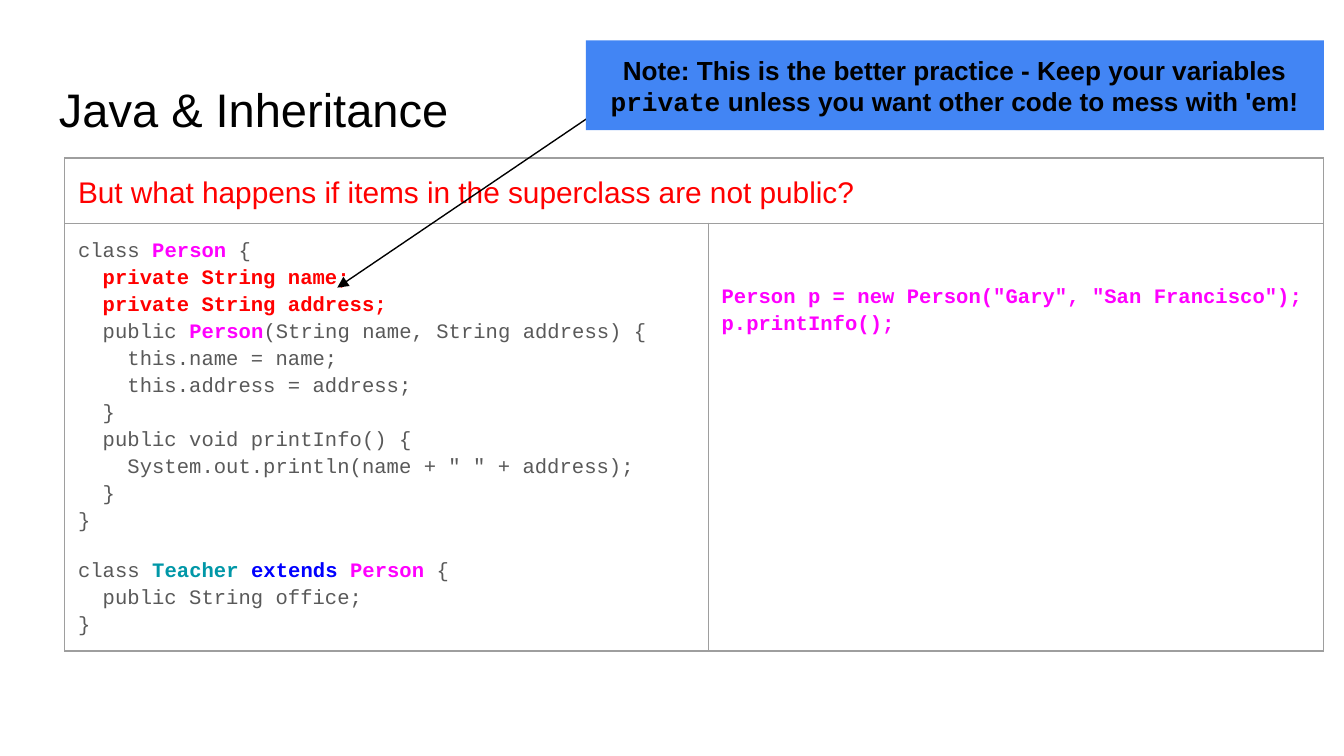
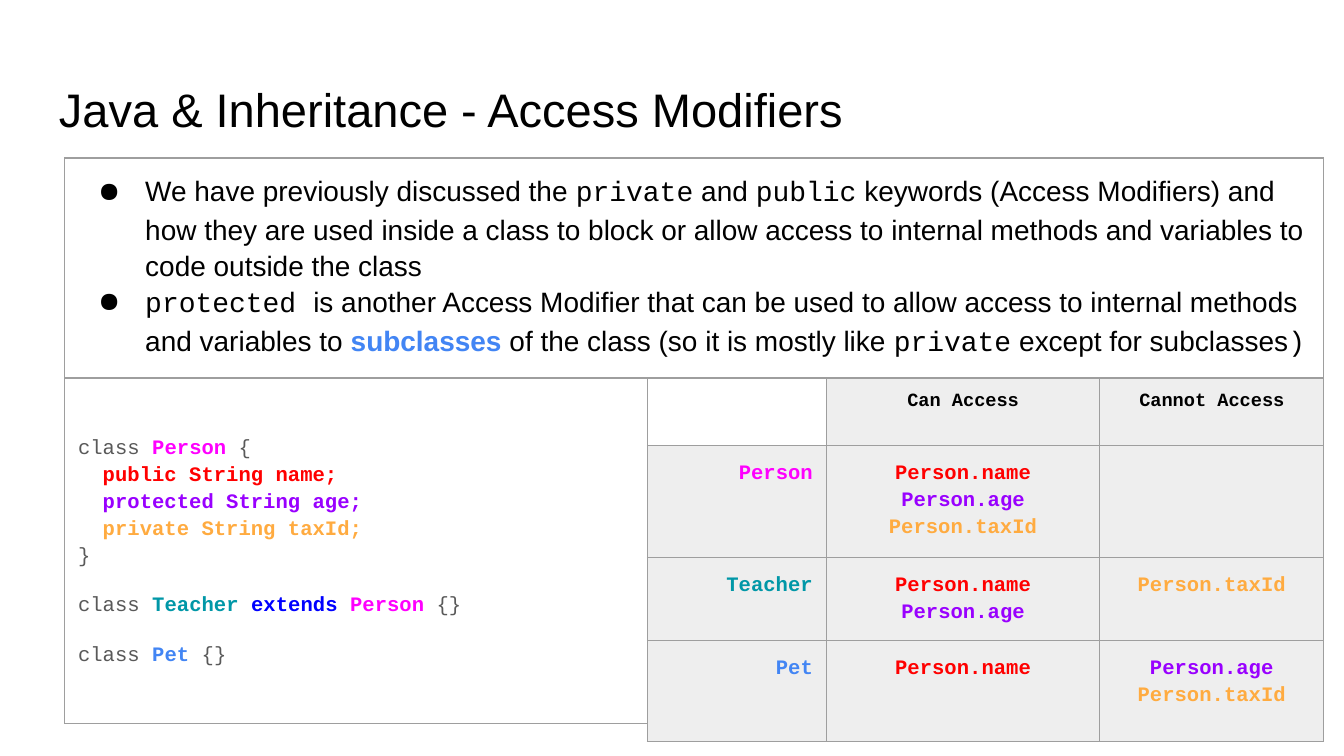
from collections import namedtuple
from copy import deepcopy

from lxml import etree
from pptx import Presentation
from pptx.dml.color import RGBColor
from pptx.enum.shapes import MSO_CONNECTOR, MSO_SHAPE
from pptx.enum.text import MSO_ANCHOR, PP_ALIGN
from pptx.oxml.ns import qn
from pptx.util import Pt

LEFT, CENTER, RIGHT = PP_ALIGN.LEFT, PP_ALIGN.CENTER, PP_ALIGN.RIGHT
TOP, MIDDLE = MSO_ANCHOR.TOP, MSO_ANCHOR.MIDDLE
RECTANGLE = MSO_SHAPE.RECTANGLE
STRAIGHT = MSO_CONNECTOR.STRAIGHT

COLORS = {
    "black": "000000", "white": "FFFFFF", "gray": "595959", "pale": "EEEEEE",
    "border": "9E9E9E", "red": "FF0000", "pink": "FF00FF", "teal": "0097A7",
    "navy": "0000FF", "blue": "4285F4", "purple": "9900FF", "orange": "FFAB40",
}
SANS, MONO = "Arial", "Courier New"
STYLES = {
    "body": (SANS, "black", False),
    "strong": (SANS, "black", True),
    "alert": (SANS, "red", False),
    "term": (SANS, "blue", True),
    "keyword": (MONO, "black", False),
    "heading": (MONO, "black", True),
    "code": (MONO, "gray", False),
    **{name: (MONO, name, True)
       for name in ("red", "pink", "teal", "navy", "blue", "purple", "orange")},
}
INSET = 7.2
GAP = 12
CODE_SIZE = 11

Box = namedtuple("Box", "left top width height")
TITLE = Box(24.5, 35.3, 671, 45.4)
BOARD = Box(34.6, 84.7, 674.6, 0)
NOTE = Box(313.9, 21.6, 395.3, 48.2)

TEACHER_HEAD = [("class ", "code"), ("Teacher ", "teal"), ("extends ", "navy"), ("Person", "pink")]
NAME, AGE, TAX = ("Person.name", "red"), ("Person.age", "purple"), ("Person.taxId", "orange")


def lengths(values):
    return [Pt(value) for value in values]


def color(name):
    return RGBColor.from_string(COLORS[name])


def add_bullet(para):
    properties = para._p.get_or_add_pPr()
    properties.set("marL", str(Pt(36)))
    properties.set("indent", str(-Pt(25.2)))
    tint = etree.SubElement(properties, qn("a:buClr"))
    etree.SubElement(tint, qn("a:srgbClr"), val=COLORS["black"])
    etree.SubElement(properties, qn("a:buChar"), char="●")


def write_span(para, text, style, size):
    face, tint, bold = STYLES[style]
    for number, line in enumerate(text.split("\n")):
        if number:
            para.add_line_break()
            para._p[-1].append(deepcopy(span._r.rPr))
        if line:
            span = para.add_run()
            span.text = line
            span.font.name = face
            span.font.size = Pt(size)
            span.font.bold = bold
            span.font.color.rgb = color(tint)


def write(frame, paragraphs, size, align=LEFT, spacing=None, before=0, after=0, bullets=False):
    frame.word_wrap = True
    for number, spans in enumerate(paragraphs):
        para = frame.add_paragraph() if number else frame.paragraphs[0]
        if bullets:
            add_bullet(para)
        para.alignment = align
        para.line_spacing = spacing
        para.space_before = Pt(before if number else 0)
        para.space_after = Pt(after if number == len(paragraphs) - 1 else 0)
        for text, style in spans:
            write_span(para, text, style, size)


def set_insets(holder):
    holder.margin_left = holder.margin_right = Pt(INSET)
    holder.margin_top = holder.margin_bottom = Pt(INSET)


def style_cell(cell, fill):
    set_insets(cell)
    properties = cell._tc.get_or_add_tcPr()
    for side in ("lnL", "lnR", "lnT", "lnB"):
        line = etree.SubElement(properties, qn(f"a:{side}"), w=str(Pt(0.75)))
        solid = etree.SubElement(line, qn("a:solidFill"))
        etree.SubElement(solid, qn("a:srgbClr"), val=COLORS["border"])
    if fill:
        cell.fill.solid()
        cell.fill.fore_color.rgb = color(fill)
    else:
        cell.fill.background()


def add_grid(page, box, columns, rows, fill=None):
    place = lengths((box.left, box.top, sum(columns), sum(rows)))
    table = page.shapes.add_table(len(rows), len(columns), *place).table
    table.first_row = table.horz_banding = False
    for column, width in zip(table.columns, columns):
        column.width = Pt(width)
    for row, height in zip(table.rows, rows):
        row.height = Pt(height)
    for cell in table.iter_cells():
        style_cell(cell, fill)
    return table


def add_board(page, box, split, rows):
    table = add_grid(page, box, (split, box.width - split), rows)
    table.cell(0, 0).merge(table.cell(0, 1))
    return table


def add_title(page, box, text):
    frame = page.shapes.add_textbox(*lengths(box)).text_frame
    set_insets(frame)
    frame.vertical_anchor = MIDDLE
    write(frame, [[(text, "body")]], 25.2)


def add_note(page, box):
    arrow = page.shapes.add_connector(STRAIGHT, *lengths(
        (box.left - 133.2, box.top + 132.5, box.left + 5, box.top + 38.9)))
    arrow.line.color.rgb = color("black")
    arrow.line.width = Pt(0.75)
    etree.SubElement(arrow.line._get_or_add_ln(), qn("a:headEnd"), type="triangle")
    etree.SubElement(arrow._element.spPr, qn("a:effectLst"))

    note = page.shapes.add_shape(RECTANGLE, *lengths(box))
    note.shadow.inherit = False
    note.fill.solid()
    note.fill.fore_color.rgb = color("blue")
    note.line.fill.background()
    frame = note.text_frame
    set_insets(frame)
    frame.vertical_anchor = MIDDLE
    write(frame, [[
        ("Note: This is the better practice - Keep your variables ", "strong"),
        ("private", "heading"),
        (" unless you want other code to mess with 'em!", "strong"),
    ]], 14, CENTER)


def add_access_table(page, box):
    table = add_grid(page, box, (95.8, 146.5, box.width - 242.3), (27, 60, 44.6, 53.8), "pale")
    corner = table.cell(0, 0)
    corner.fill.solid()
    corner.fill.fore_color.rgb = color("white")
    for column, heading in enumerate(("Can Access", "Cannot Access"), 1):
        write(table.cell(0, column).text_frame, [[(heading, "heading")]], 10, CENTER)
    access = [
        (("Person", "pink"), [NAME, AGE, TAX], []),
        (("Teacher", "teal"), [NAME, AGE], [TAX]),
        (("Pet", "blue"), [NAME], [AGE, TAX]),
    ]
    for row, (owner, allowed, denied) in enumerate(access, 1):
        for column, fields in enumerate(([owner], allowed, denied)):
            if not fields:
                continue
            spans = [(text + "\n", style) for text, style in fields[:-1]] + fields[-1:]
            write(table.cell(row, column).text_frame, [spans], CODE_SIZE,
                  CENTER if column else RIGHT, 1.15, after=GAP)


def build_private_page(page):
    table = add_board(page, BOARD, 344.8, (21, 229))
    write(table.cell(0, 0).text_frame,
          [[("But what happens if items in the superclass are not public?", "alert")]],
          16, spacing=1.15, after=GAP)
    write(table.cell(1, 0).text_frame, [
        [
            ("class ", "code"), ("Person", "pink"), (" {\n", "code"),
            ("  private String name;\n  private String address;\n", "red"),
            ("  public ", "code"), ("Person", "pink"),
            ("(String name, String address) {\n"
             "    this.name = name;\n"
             "    this.address = address;\n"
             "  }\n"
             "  public void printInfo() {\n"
             "    System.out.println(name + \" \" + address);\n"
             "  }\n"
             "}", "code"),
        ],
        TEACHER_HEAD + [(" {\n  public String office;\n}", "code")],
    ], CODE_SIZE, spacing=1.15, before=GAP, after=GAP)
    usage = table.cell(1, 1)
    usage.margin_top = Pt(INSET + 24.6)
    write(usage.text_frame,
          [[("Person p = new Person(\"Gary\", \"San Francisco\");\np.printInfo();", "pink")]],
          CODE_SIZE, spacing=1.15)
    add_title(page, TITLE, "Java & Inheritance")
    add_note(page, NOTE)


def build_modifiers_page(page):
    split, rows = 312.3, (117.8, 185)
    table = add_board(page, BOARD, split, rows)
    write(table.cell(0, 0).text_frame, [
        [
            ("We have previously discussed the ", "body"), ("private", "keyword"),
            (" and ", "body"), ("public", "keyword"),
            (" keywords (Access Modifiers) and how they are used inside a class to block or "
             "allow access to internal methods and variables to code outside the class", "body"),
        ],
        [
            ("protected ", "keyword"),
            ("is another Access Modifier that can be used to allow access to internal methods "
             "and variables to ", "body"),
            ("subclasses", "term"), (" of the class (so it is mostly like ", "body"),
            ("private", "keyword"), (" except for subclasses", "body"), (")", "keyword"),
        ],
    ], 15, spacing=1.15, bullets=True)
    listing = table.cell(1, 0)
    listing.vertical_anchor = MIDDLE
    write(listing.text_frame, [
        [
            ("class ", "code"), ("Person", "pink"), (" {\n", "code"),
            ("  public String name;\n", "red"),
            ("  protected String age;\n", "purple"),
            ("  private String taxId;\n", "orange"),
            ("}", "code"),
        ],
        TEACHER_HEAD + [(" {}", "code")],
        [("class ", "code"), ("Pet", "blue"), (" {}", "code")],
    ], CODE_SIZE, spacing=1.15, before=GAP, after=GAP)
    add_title(page, TITLE, "Java & Inheritance - Access Modifiers")
    add_access_table(page, Box(BOARD.left + split, BOARD.top + rows[0],
                               BOARD.width - split, rows[1]))


def main():
    deck = Presentation()
    deck.slide_width, deck.slide_height = Pt(720), Pt(405)
    for build in (build_private_page, build_modifiers_page):
        build(deck.slides.add_slide(deck.slide_layouts[6]))
    deck.save("out.pptx")


if __name__ == "__main__":
    main()
